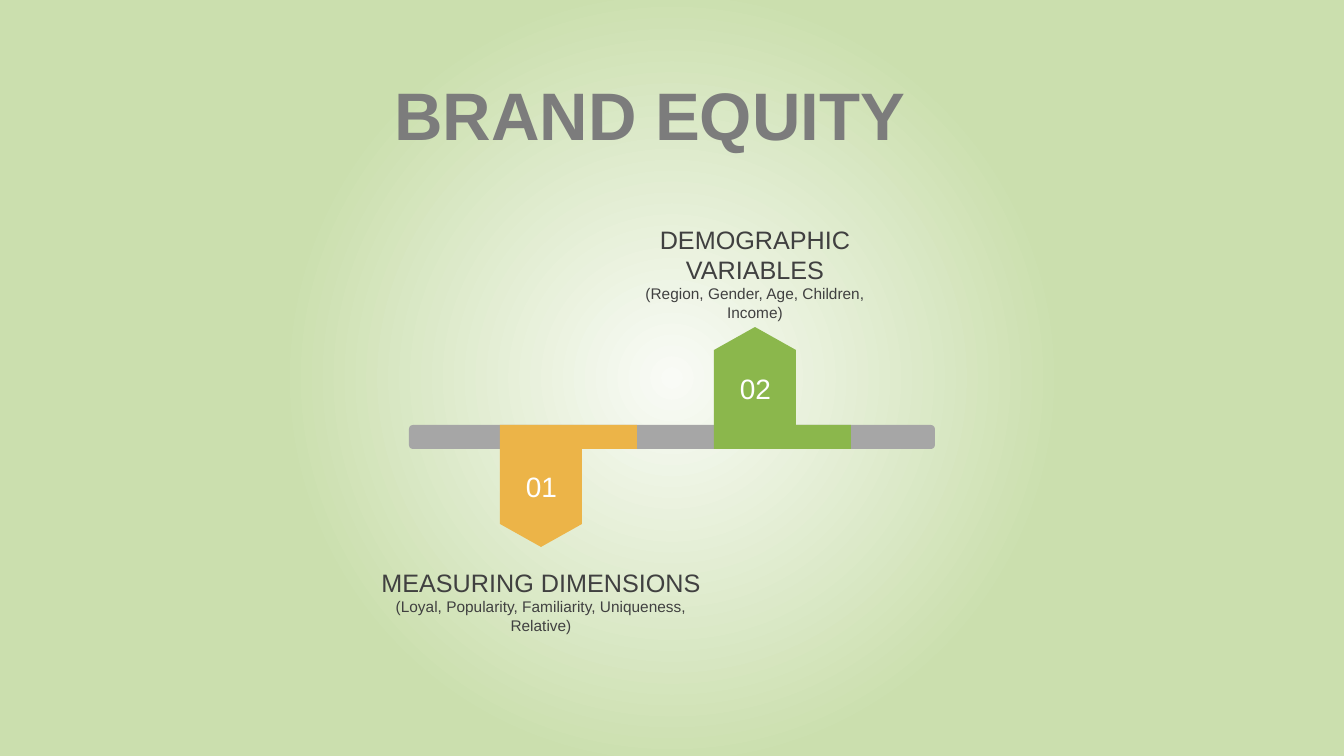
"""Build the brand equity slide: a timeline bar with two numbered tags."""
import lxml.etree
import pptx
import pptx.dml.color
import pptx.enum.shapes
import pptx.enum.text
import pptx.oxml
import pptx.util

PX = 9144000 / 1008
SHAPE = pptx.enum.shapes.MSO_SHAPE
ALIGN = pptx.enum.text.PP_ALIGN
ANCHOR = pptx.enum.text.MSO_ANCHOR

BACKGROUND = """<a:gradFill xmlns:a="http://schemas.openxmlformats.org/drawingml/2006/main" rotWithShape="1">
<a:gsLst><a:gs pos="0"><a:srgbClr val="F9FBF6"/></a:gs>
<a:gs pos="51000"><a:srgbClr val="CBDFAE"><a:alpha val="63000"/></a:srgbClr></a:gs>
<a:gs pos="100000"><a:srgbClr val="CBDFAE"/></a:gs></a:gsLst>
<a:path path="circle"><a:fillToRect l="50000" t="50000" r="50000" b="50000"/></a:path></a:gradFill>"""


def block(kind, box, color):
    sp = s.shapes.add_shape(kind, *[round(v * PX) for v in box])
    sp.shadow.inherit = False
    sp.fill.solid()
    sp.fill.fore_color.rgb = pptx.dml.color.RGBColor.from_string(color)
    sp.line.fill.background()
    return sp


def write(sp, box, lines, color, align=ALIGN.CENTER, anchor=ANCHOR.TOP, bold=False):
    for name, v in zip(("left", "top", "width", "height"), box):
        setattr(sp, name, round(v * PX))
    tf = sp.text_frame
    frame = {"word_wrap": True, "vertical_anchor": anchor,
             "auto_size": pptx.enum.text.MSO_AUTO_SIZE.NONE}
    for name, value in frame.items():
        setattr(tf, name, value)
    for i, (text, size) in enumerate(lines):
        p = tf.add_paragraph() if i else tf.paragraphs[0]
        p.alignment = align
        r = p.add_run()
        r.text = text
        r.font.color.rgb = pptx.dml.color.RGBColor.from_string(color)
        for name, value in {"name": "Arial", "size": pptx.util.Pt(size), "bold": bold}.items():
            setattr(r.font, name, value)


prs = pptx.Presentation()
prs.slide_width, prs.slide_height = round(1344 * PX), round(756 * PX)
s = prs.slides.add_slide(prs.slide_layouts[5])

s.background.fill.solid()
bg = s.background.fill._xPr
bg.replace(bg[0], pptx.oxml.parse_xml(BACKGROUND))

write(s.shapes.title, (384, 70, 555, 88), [("BRAND EQUITY", 48)], "7C7C7C",
      ALIGN.LEFT, ANCHOR.MIDDLE, True)

block(SHAPE.ROUNDED_RECTANGLE, (409, 425, 526, 24), "A6A6A6")

tags = [
    ("01", 541, 486, 90, "ECB448", 562, 340, "MEASURING DIMENSIONS",
     "(Loyal, Popularity, Familiarity, Uniqueness, Relative)"),
    ("02", 755, 388, 270, "8BB74C", 219, 286, "DEMOGRAPHIC VARIABLES",
     "(Region, Gender, Age, Children, Income)"),
]
for number, cx, cy, turn, color, top, width, heading, detail in tags:
    sp = block(SHAPE.PENTAGON, (cx - 61, cy - 41, 122, 82), color)
    sp.rotation = turn
    sp.adjustments[0] = 0.28
    block(SHAPE.RECTANGLE, (cx + 41, 425, 55, 24), color)
    write(s.shapes.add_textbox(0, 0, 0, 0), (cx - 33, cy - 21, 67, 44), [(number, 20)], "FFFFFF")
    write(s.shapes.add_textbox(0, 0, 0, 0), (cx - width // 2, top, width, 109),
          [(heading, 18), (detail, 11)], "404040")

prs.save("out.pptx")
